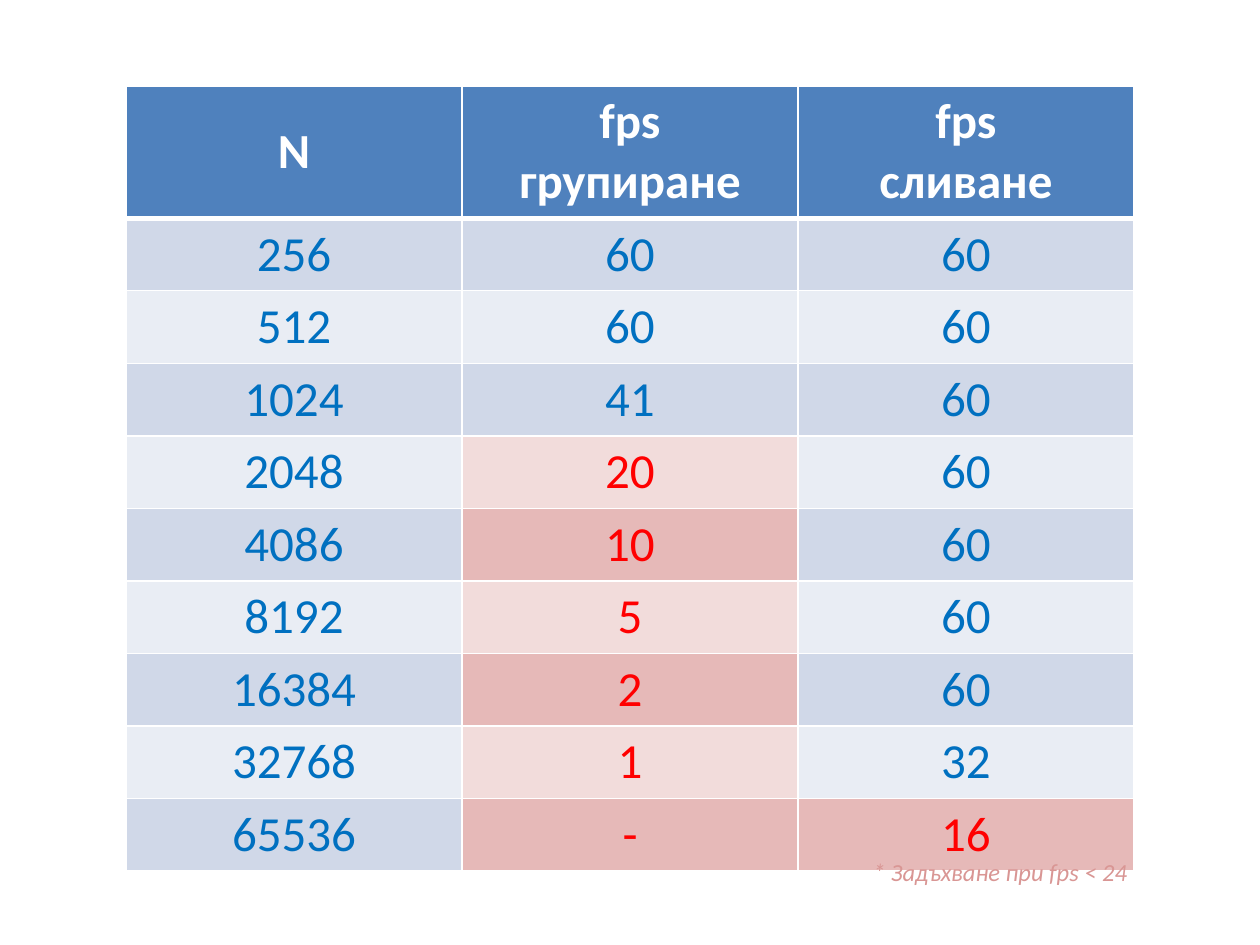
from lxml import etree
from pptx import Presentation
from pptx.dml.color import RGBColor
from pptx.enum.text import MSO_ANCHOR, MSO_AUTO_SIZE, PP_ALIGN
from pptx.oxml.ns import qn
from pptx.util import Cm, Pt

MIDDLE = MSO_ANCHOR.MIDDLE
GROW = MSO_AUTO_SIZE.SHAPE_TO_FIT_TEXT
CENTER = PP_ALIGN.CENTER

WHITE = RGBColor(0xFF, 0xFF, 0xFF)
HEAD = RGBColor(0x4F, 0x81, 0xBD)
BLUE = RGBColor(0x00, 0x70, 0xC0)
RED = RGBColor(0xFF, 0x00, 0x00)
ROSE = RGBColor(0xD9, 0x96, 0x94)
GOOD = (RGBColor(0xD0, 0xD8, 0xE8), RGBColor(0xE9, 0xED, 0xF4))
SLOW = (RGBColor(0xE6, 0xB9, 0xB8), RGBColor(0xF2, 0xDC, 0xDB))

FONT = "Calibri"
LIMIT = 24
TITLES = ("N", "fps\nгрупиране", "fps\nсливане")
ROWS = (
    ("256", "60", "60"),
    ("512", "60", "60"),
    ("1024", "41", "60"),
    ("2048", "20", "60"),
    ("4086", "10", "60"),
    ("8192", "5", "60"),
    ("16384", "2", "60"),
    ("32768", "1", "32"),
    ("65536", "-", "16"),
)


def write(frame, text, color, **form):
    """Put centred, formatted text into a text frame."""
    frame.text = text
    for para in frame.paragraphs:
        para.alignment = CENTER
        font = para.runs[0].font
        font.color.rgb = color
        for name, value in {"name": FONT, **form}.items():
            setattr(font, name, value)


def edge(cell, top, bottom):
    """Draw white borders of the given point widths around a cell."""
    props = cell._tc.get_or_add_tcPr()
    sides = {"L": 1, "R": 1, "T": top, "B": bottom}
    for spot, (side, width) in enumerate(sides.items()):
        line = etree.Element(qn(f"a:ln{side}"), w=str(Pt(width)))
        fill = etree.SubElement(line, qn("a:solidFill"))
        etree.SubElement(fill, qn("a:srgbClr"), val=str(WHITE))
        props.insert(spot, line)


def style(row, col, text):
    """Return the fill, text colour and weight that suit a cell."""
    if row == 0:
        return HEAD, WHITE, True
    slow = col > 0 and (text == "-" or int(text) < LIMIT)
    fills = SLOW if slow else GOOD
    return fills[(row - 1) % 2], RED if slow else BLUE, False


def add_rates(slide, left, top, width, height):
    """Add the table of frame rates in the given box."""
    data = (TITLES, *ROWS)
    table = slide.shapes.add_table(
        len(data), len(TITLES), left, top, width, height
    ).table
    first = Cm(2.54)
    for row, texts in enumerate(data):
        table.rows[row].height = (height - first) // len(ROWS) if row else first
        for col, text in enumerate(texts):
            cell = table.cell(row, col)
            fill, color, bold = style(row, col, text)
            cell.fill.solid()
            cell.fill.fore_color.rgb = fill
            cell.vertical_anchor = MIDDLE
            write(cell.text_frame, text, color, size=Pt(28), bold=bold)
            edge(cell, 3 if row == 1 else 1, 3 if row == 0 else 1)


def add_note(slide, left, top, width, height):
    """Add the footnote in the given box."""
    frame = slide.shapes.add_textbox(left, top, width, height).text_frame
    frame.word_wrap = False
    frame.auto_size = GROW
    write(frame, f"* Задъхване при fps < {LIMIT}", ROSE, size=Pt(14), italic=True)


def main():
    """Build and save the slide."""
    deck = Presentation()
    deck.slide_width, deck.slide_height = Cm(25.4), Cm(19.05)
    slide = deck.slides.add_slide(deck.slide_layouts[6])
    add_rates(slide, Cm(2.54), Cm(1.73), Cm(20.32), Cm(15.14))
    add_note(slide, Cm(17.27), Cm(17.15), Cm(5.79), Cm(0.86))
    deck.save("out.pptx")


if __name__ == "__main__":
    main()
